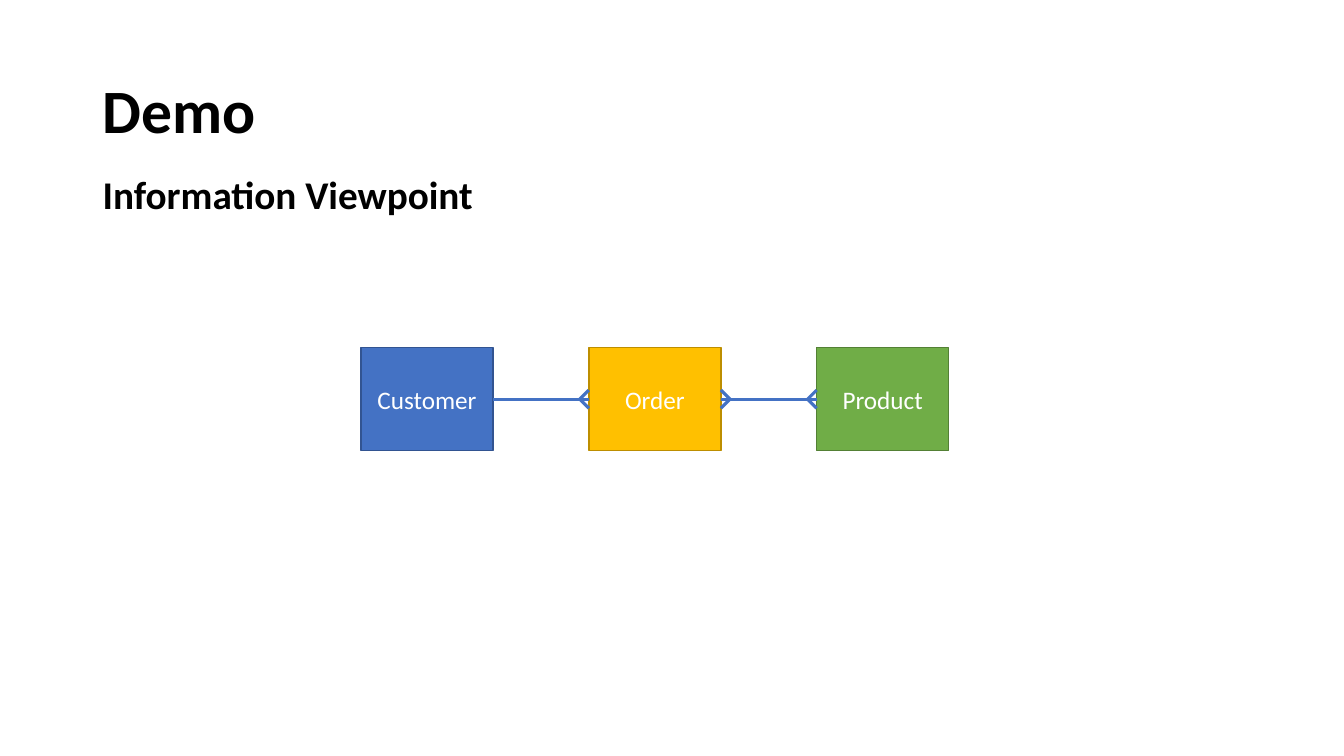
from dataclasses import dataclass

from lxml import etree
from pptx import Presentation
from pptx.dml.color import RGBColor
from pptx.enum.shapes import MSO_CONNECTOR, MSO_SHAPE
from pptx.enum.text import MSO_ANCHOR, PP_ALIGN
from pptx.oxml.ns import qn
from pptx.util import Emu, Pt

STRAIGHT = MSO_CONNECTOR.STRAIGHT
RECTANGLE = MSO_SHAPE.RECTANGLE
MIDDLE = MSO_ANCHOR.MIDDLE
LEFT = PP_ALIGN.LEFT
CENTER = PP_ALIGN.CENTER
LEFT_SIDE, RIGHT_SIDE = 1, 3
EMU_PER_PX = 9144


def px(length):
    return Emu(length * EMU_PER_PX)


@dataclass(frozen=True)
class Theme:
    font: str = "Calibri"
    title_size: int = 44
    subtitle_size: int = 28
    entity_size: int = 18
    ink: str = "000000"
    entity_ink: str = "FFFFFF"
    relation: str = "4472C4"
    customer: tuple = ("4472C4", "325491")
    order: tuple = ("FFC000", "BD8E00")
    product: tuple = ("70AD47", "538035")
    entity_line: float = 1
    relation_line: float = 2.25


class DiagramSlide:
    def __init__(self, slide, theme):
        self.slide = slide
        self.theme = theme

    def label(self, frame, text, size, color, bold=False, align=LEFT):
        paragraph = frame.paragraphs[0]
        paragraph.alignment = align
        run = paragraph.add_run()
        run.text = text
        run.font.name = self.theme.font
        run.font.size = Pt(size)
        run.font.bold = bold
        run.font.color.rgb = RGBColor.from_string(color)
        return paragraph

    def title(self, text, left, top, width, height):
        heading = self.slide.shapes.title
        heading.left, heading.top = px(left), px(top)
        heading.width, heading.height = px(width), px(height)
        frame = heading.text_frame
        frame.vertical_anchor = MIDDLE
        paragraph = self.label(frame, text, self.theme.title_size, self.theme.ink, bold=True)
        paragraph.line_spacing = 0.9

    def subtitle(self, text, left, top, width, height):
        box = self.slide.shapes.add_textbox(px(left), px(top), px(width), px(height))
        box.text_frame.word_wrap = True
        self.label(box.text_frame, text, self.theme.subtitle_size, self.theme.ink, bold=True)

    def entity(self, text, colors, left, top, width, height):
        fill, outline = colors
        box = self.slide.shapes.add_shape(RECTANGLE, px(left), px(top), px(width), px(height))
        box.shadow.inherit = False
        box.fill.solid()
        box.fill.fore_color.rgb = RGBColor.from_string(fill)
        box.line.color.rgb = RGBColor.from_string(outline)
        box.line.width = Pt(self.theme.entity_line)
        box.text_frame.word_wrap = True
        box.text_frame.vertical_anchor = MIDDLE
        self.label(box.text_frame, text, self.theme.entity_size, self.theme.entity_ink, align=CENTER)
        return box

    def line(self, x1, y1, x2, y2):
        stroke = self.slide.shapes.add_connector(STRAIGHT, x1, y1, x2, y2)
        stroke.line.color.rgb = RGBColor.from_string(self.theme.relation)
        stroke.line.width = Pt(self.theme.relation_line)
        etree.SubElement(stroke._element.spPr, qn("a:effectLst"))
        return stroke

    def relation(self, source, target, many_at_source=False):
        start = source.left + source.width
        level = source.top + source.height // 2
        link = self.line(start, level, target.left, level)
        link.begin_connect(source, RIGHT_SIDE)
        link.end_connect(target, LEFT_SIDE)
        if many_at_source:
            self.crow_foot(start, level, 1)
        self.crow_foot(target.left, level, -1)

    def crow_foot(self, edge, level, direction):
        reach = px(9)
        for spread in (reach, -reach):
            self.line(edge + direction * reach, level, edge, level + spread)


def main():
    presentation = Presentation()
    presentation.slide_width = px(1333)
    presentation.slide_height = px(750)
    theme = Theme()
    demo = DiagramSlide(presentation.slides.add_slide(presentation.slide_layouts[5]), theme)

    demo.title("Demo", 92, 40, 1150, 145)
    demo.subtitle("Information Viewpoint", 92, 164, 1213, 57)

    first_left, top, width, height, gap = 358, 345, 131, 102, 95
    entities = (
        ("Customer", theme.customer),
        ("Order", theme.order),
        ("Product", theme.product),
    )
    customer, order, product = [
        demo.entity(name, colors, first_left + i * (width + gap), top, width, height)
        for i, (name, colors) in enumerate(entities)
    ]
    demo.relation(customer, order)
    demo.relation(order, product, many_at_source=True)

    presentation.save("out.pptx")


if __name__ == "__main__":
    main()
